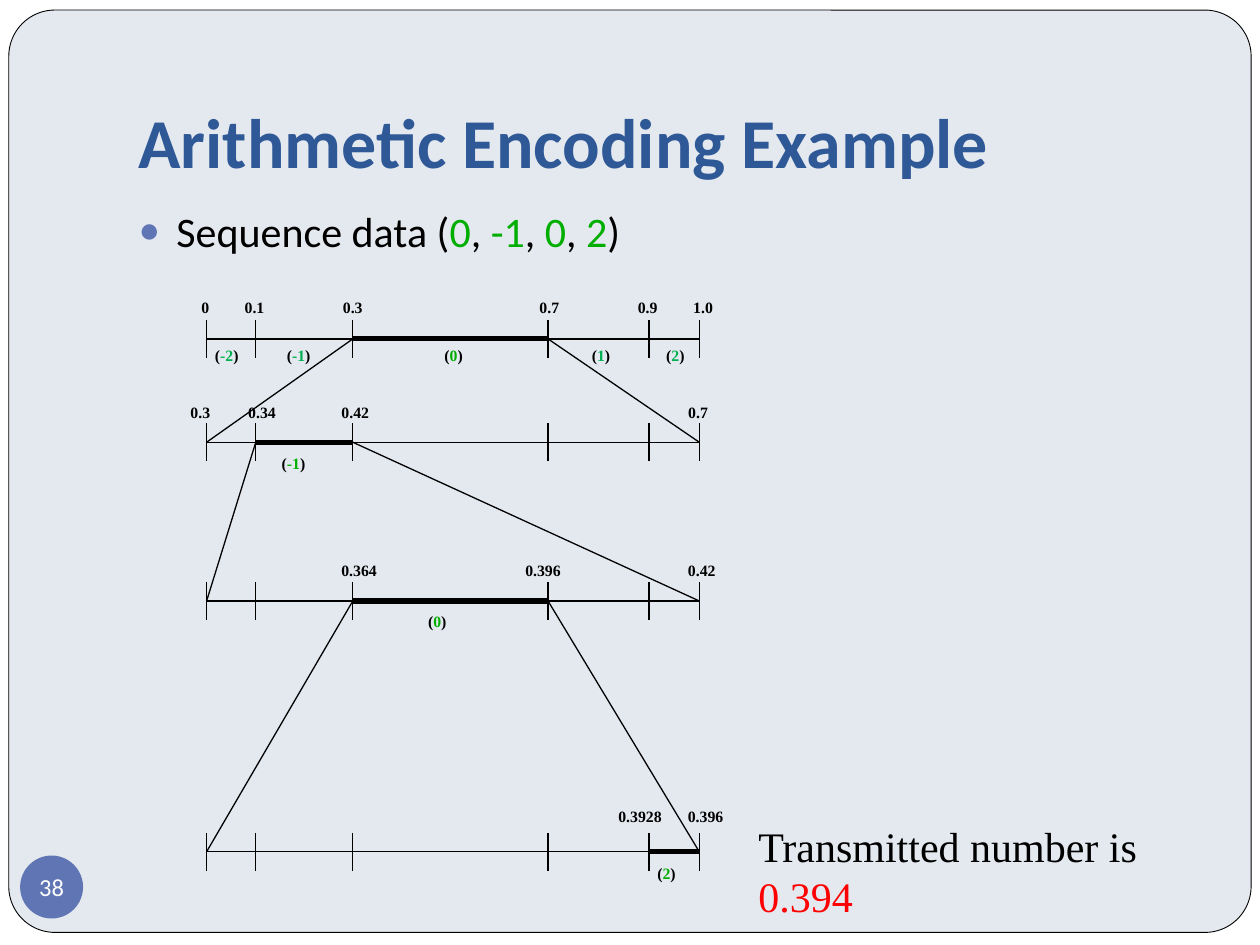
from lxml import etree
from pptx import Presentation, util as u
from pptx.dml.color import RGBColor
from pptx.enum import shapes, text
from pptx.oxml.ns import qn

BLACK, GREEN, SYMBOL_GREEN = "000000", "00AE00", "00B050"
SERIF = "Times New Roman"
TICKS = [1.64, 2.03, 2.8, 4.35, 5.15, 5.55]
LABEL_WIDTH, LABEL_HEIGHT = 0.7, 0.31
TICK_HALF = 0.15

# Each scale: axis height, chosen interval, label top, labels, symbol top, symbols
SCALES = [
    (2.69, 2, 2.29,
     [("0", 1.63), ("0.1", 2.02), ("0.3", 2.8), ("0.7", 4.36), ("0.9", 5.14), ("1.0", 5.58)],
     2.67,
     [("-2", 1.8, SYMBOL_GREEN), ("-1", 2.37, SYMBOL_GREEN), ("0", 3.6, GREEN),
      ("1", 4.77, SYMBOL_GREEN), ("2", 5.36, SYMBOL_GREEN)]),
    (3.51, 1, 3.12,
     [("0.3", 1.59), ("0.34", 2.08), ("0.42", 2.82), ("0.7", 5.54)],
     3.53, [("-1", 2.33, GREEN)]),
    (4.77, 2, 4.38,
     [("0.364", 2.85), ("0.396", 4.31), ("0.42", 5.57)],
     4.78, [("0", 3.47, GREEN)]),
    (6.76, 4, 6.33,
     [("0.3928", 5.08), ("0.396", 5.6)],
     6.78, [("2", 5.29, GREEN)]),
]


def color(value):
    return RGBColor.from_string(value)


def place(shape, left, top, width, height):
    shape.left, shape.top = u.Inches(left), u.Inches(top)
    shape.width, shape.height = u.Inches(width), u.Inches(height)


def write(shape, runs, size, font="Calibri", bold=False, align=text.PP_ALIGN.LEFT,
          anchor=text.MSO_ANCHOR.TOP, insets=(0.1, 0.05, 0.1, 0.05), spacing=None):
    frame = shape.text_frame
    frame.word_wrap = True
    frame.auto_size = text.MSO_AUTO_SIZE.NONE
    frame.vertical_anchor = anchor
    (frame.margin_left, frame.margin_top,
     frame.margin_right, frame.margin_bottom) = map(u.Inches, insets)
    paragraph = frame.paragraphs[0]
    paragraph.alignment = align
    if spacing:
        paragraph.line_spacing = spacing
    for words, shade in runs:
        run = paragraph.add_run()
        run.text = words
        run.font.name, run.font.size, run.font.bold = font, u.Pt(size), bold
        run.font.color.rgb = color(shade)
    return paragraph


def add_bullet(paragraph):
    properties = paragraph._p.get_or_add_pPr()
    properties.set("marL", str(u.Inches(0.3)))
    properties.set("indent", str(u.Inches(-0.3)))
    bullet_color = etree.SubElement(properties, qn("a:buClr"))
    etree.SubElement(bullet_color, qn("a:srgbClr"), val="6076B4")
    etree.SubElement(properties, qn("a:buSzPct"), val="85000")
    etree.SubElement(properties, qn("a:buChar"), char="●")


def add_shape(slide, kind, box, fill, line=None):
    shape = slide.shapes.add_shape(kind, *map(u.Inches, box))
    shape.shadow.inherit = False
    shape.fill.solid()
    shape.fill.fore_color.rgb = color(fill)
    if line:
        shape.line.color.rgb = color(line)
        shape.line.width = u.Pt(0.5)
    else:
        shape.line.fill.background()
    return shape


def add_line(slide, start, end, width=0.75):
    line = slide.shapes.add_connector(
        shapes.MSO_CONNECTOR.STRAIGHT, *map(u.Inches, (*start, *end)))
    line.line.color.rgb = color(BLACK)
    line.line.width = u.Pt(width)
    etree.SubElement(line.element.spPr, qn("a:effectLst"))


def add_label(slide, runs, center, top):
    box = slide.shapes.add_textbox(*map(u.Inches, (
        center - LABEL_WIDTH / 2, top, LABEL_WIDTH, LABEL_HEIGHT)))
    write(box, runs, 9, SERIF, bold=True, align=text.PP_ALIGN.CENTER, spacing=1.16)


def add_scale(slide, axis, chosen, label_top, labels, symbol_top, symbols):
    for index, (left, right) in enumerate(zip(TICKS, TICKS[1:])):
        add_line(slide, (left, axis), (right, axis), 2.89 if index == chosen else 0.75)
    for tick in TICKS:
        add_line(slide, (tick, axis - TICK_HALF), (tick, axis + TICK_HALF))
    for value, center in labels:
        add_label(slide, [(value, BLACK)], center, label_top)
    for symbol, center, shade in symbols:
        add_label(slide, [("(", BLACK), (symbol, shade), (")", BLACK)], center, symbol_top)


def add_zoom(slide, upper, lower):
    axis, chosen = upper[:2]
    add_line(slide, (TICKS[chosen], axis), (TICKS[0], lower[0]))
    add_line(slide, (TICKS[chosen + 1], axis), (TICKS[-1], lower[0]))


def add_panel(slide):
    slide.background.fill.solid()
    slide.background.fill.fore_color.rgb = color("FFFFFF")
    panel = add_shape(slide, shapes.MSO_SHAPE.ROUNDED_RECTANGLE,
                      (0.07, 0.08, 9.86, 7.32), "E4E9EF", BLACK)
    panel.adjustments[0] = 0.05
    slide.shapes.title.element.addprevious(panel.element)


def add_page_number(slide):
    badge = add_shape(slide, shapes.MSO_SHAPE.OVAL, (0.16, 6.79, 0.5, 0.5), "6076B4")
    write(badge, [("38", "FFFFFF")], 14, align=text.PP_ALIGN.CENTER,
          anchor=text.MSO_ANCHOR.MIDDLE, insets=(0, 0, 0, 0))


def fill_placeholders(slide):
    title, body = slide.shapes.title, slide.placeholders[1]
    place(title, 1, 0.3, 8.5, 1.25)
    write(title, [("Arithmetic Encoding Example", "2F5897")], 40, bold=True,
          anchor=text.MSO_ANCHOR.BOTTOM, insets=(0.1, 0.05, 0.1, 0.1))
    place(body, 1, 1.58, 8.5, 5)
    paragraph = write(body, [
        ("Sequence data (", BLACK), ("0", GREEN), (", ", BLACK), ("-1", GREEN),
        (", ", BLACK), ("0", GREEN), (", ", BLACK), ("2", GREEN), (")", BLACK)], 24)
    paragraph.space_before = u.Pt(5.8)
    add_bullet(paragraph)


def main():
    presentation = Presentation()
    presentation.slide_width, presentation.slide_height = u.Inches(10), u.Inches(7.5)
    slide = presentation.slides.add_slide(presentation.slide_layouts[1])
    add_panel(slide)
    fill_placeholders(slide)
    add_page_number(slide)
    for scale in SCALES:
        add_scale(slide, *scale)
    for upper, lower in zip(SCALES, SCALES[1:]):
        add_zoom(slide, upper, lower)
    result = slide.shapes.add_textbox(*map(u.Inches, (5.92, 6.46, 3.9, 0.79)))
    write(result, [("Transmitted number is ", BLACK), ("0.394", "FF0000")], 24, SERIF)
    presentation.save("out.pptx")


if __name__ == "__main__":
    main()
